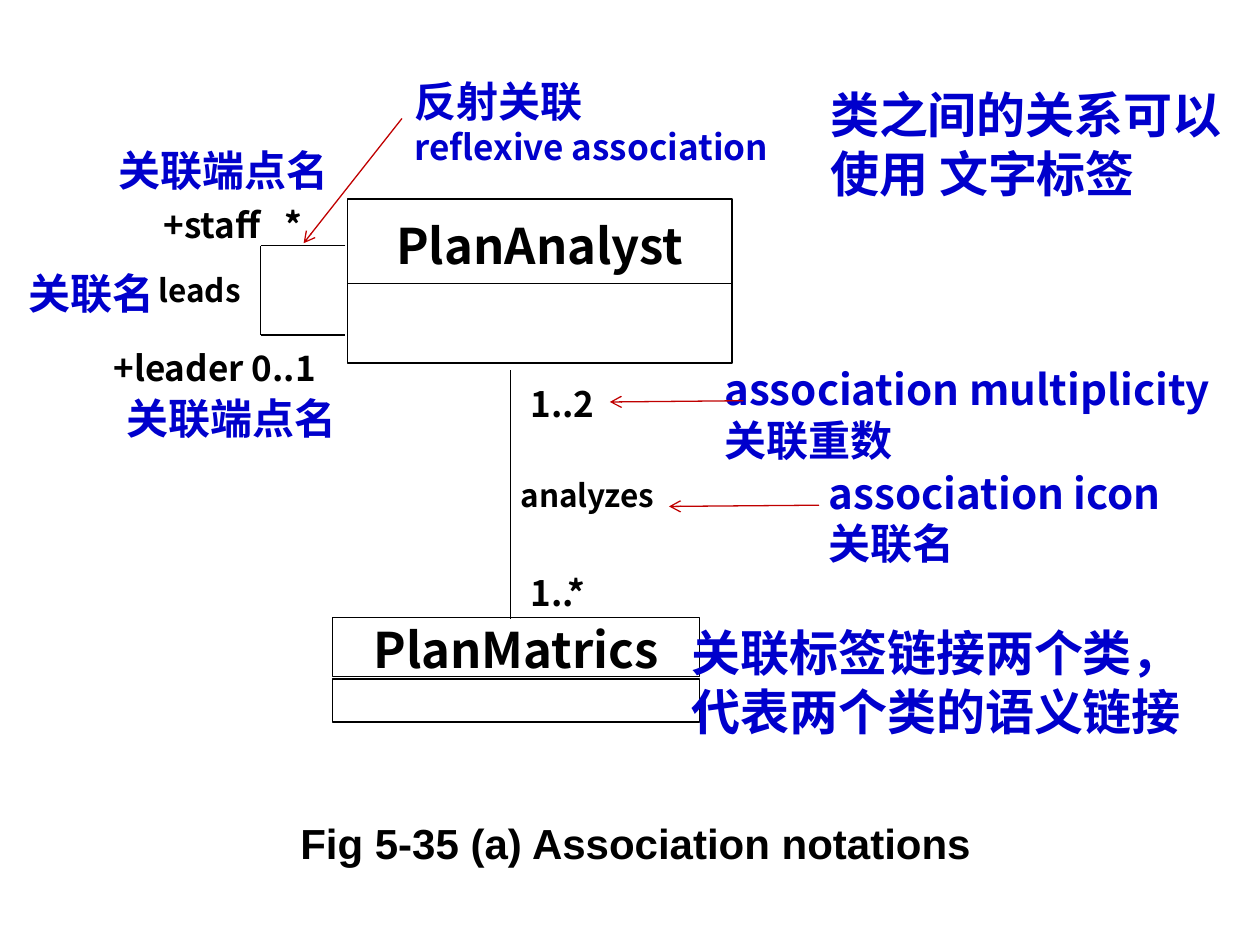
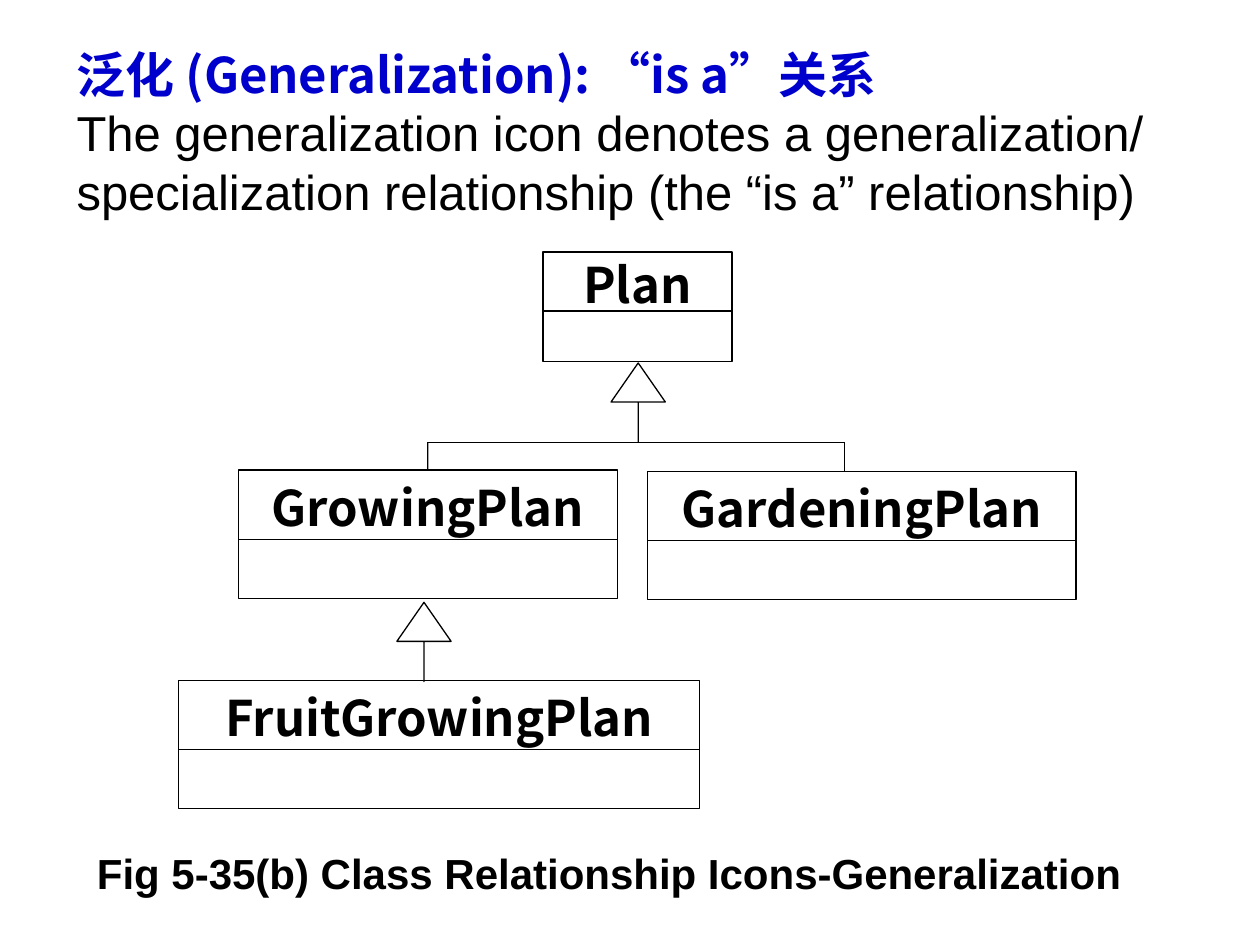
from lxml.etree import SubElement
from pptx import Presentation
from pptx.dml.color import RGBColor
from pptx.enum.shapes import MSO_CONNECTOR, MSO_SHAPE
from pptx.enum.text import MSO_ANCHOR, MSO_AUTO_SIZE, PP_ALIGN
from pptx.oxml.ns import qn
from pptx.util import Pt

BLACK, WHITE, BLUE, RED = "000000", "FFFFFF", "0000CC", "C00000"
CJK_FONT, LATIN_FONT = "Noto Sans CJK SC", "Arial"
LINE_HEIGHT = 1.2   # line pitch as a share of the text size
TEXT_DROP = 0.08    # lowers the CJK font's baseline, as a share of the text size
TITLE_ONLY = 5


def color(value):
    return RGBColor.from_string(value)


class Diagram:
    """Holds the drawing style and the current slide."""

    def __init__(self):
        self.presentation = Presentation()
        self.presentation.slide_width = Pt(720)
        self.presentation.slide_height = Pt(540)
        self.slide = None

    def new_slide(self):
        layout = self.presentation.slide_layouts[TITLE_ONLY]
        self.slide = self.presentation.slides.add_slide(layout)

    def frame(self, shape, inset_x=0, inset_y=0, drop=0, wrap=True, anchor=MSO_ANCHOR.TOP):
        text_frame = shape.text_frame
        text_frame.auto_size = MSO_AUTO_SIZE.NONE
        text_frame.word_wrap = wrap
        text_frame.vertical_anchor = anchor
        text_frame.margin_left = text_frame.margin_right = Pt(inset_x)
        text_frame.margin_top = Pt(inset_y + drop)
        text_frame.margin_bottom = Pt(inset_y)
        return text_frame

    def format(self, paragraph, size, ink=BLACK, font=CJK_FONT, bold=True,
               align=PP_ALIGN.LEFT, spacing=LINE_HEIGHT):
        paragraph.alignment = align
        paragraph.line_spacing = Pt(round(size * spacing, 2))
        for run in paragraph.runs:
            run.font.size = Pt(size)
            run.font.bold = bold
            run.font.name = font
            run.font.color.rgb = color(ink)
            SubElement(run.font._element, qn("a:ea"), typeface=font)

    def caption(self, text, left, top, width, height, spacing=LINE_HEIGHT):
        title = self.slide.shapes.title
        title.left, title.top, title.width, title.height = map(Pt, (left, top, width, height))
        text_frame = self.frame(title)
        text_frame.text = text
        self.format(text_frame.paragraphs[0], 24, font=LATIN_FONT,
                    align=PP_ALIGN.CENTER, spacing=spacing)

    def text(self, lines, left, top, width, height, size, ink=BLACK,
             inset_x=0, inset_y=0, wrap=True):
        box = self.slide.shapes.add_textbox(*map(Pt, (left, top, width, height)))
        text_frame = self.frame(box, inset_x, inset_y, TEXT_DROP * size, wrap)
        text_frame.text = "\n".join(lines)
        for paragraph in text_frame.paragraphs:
            self.format(paragraph, size, ink)
        return text_frame.paragraphs

    def label(self, lines, left, top, width, height, size=24, ink=BLUE):
        return self.text(lines, left, top, width, height, size, ink, 7.2, 3.6, wrap=False)

    def shape(self, kind, left, top, width, height):
        shape = self.slide.shapes.add_shape(kind, *map(Pt, (left, top, width, height)))
        shape.shadow.inherit = False
        shape.fill.solid()
        shape.fill.fore_color.rgb = color(WHITE)
        shape.line.color.rgb = color(BLACK)
        shape.line.width = Pt(0.75)
        return shape

    def class_box(self, name, left, top, width, name_height, body_height, gap=0):
        head = self.shape(MSO_SHAPE.RECTANGLE, left, top, width, name_height)
        text_frame = self.frame(head, drop=TEXT_DROP * 28, anchor=MSO_ANCHOR.MIDDLE)
        text_frame.text = name
        self.format(text_frame.paragraphs[0], 28, align=PP_ALIGN.CENTER)
        self.shape(MSO_SHAPE.RECTANGLE, left, top + name_height + gap, width, body_height)
        return head

    def generalization(self, left, top):
        arrow = self.shape(MSO_SHAPE.UP_ARROW, left, top, 31, 45.3)
        arrow.adjustments[0] = 0
        arrow.adjustments[1] = 0.72

    def line(self, start, end, ink=BLACK, arrow=False):
        connector = self.slide.shapes.add_connector(
            MSO_CONNECTOR.STRAIGHT, *map(Pt, (*start, *end)))
        connector.line.color.rgb = color(ink)
        connector.line.width = Pt(0.75)
        if arrow:
            SubElement(connector.line._get_or_add_ln(), qn("a:tailEnd"), type="arrow")
        SubElement(connector._element.spPr, qn("a:effectLst"))
        return connector

    def path_lines(self, points):
        for start, end in zip(points, points[1:]):
            self.line(start, end)


def association_slide(diagram):
    diagram.new_slide()

    # Classes and the association between them
    diagram.class_box("PlanAnalyst", 198.7, 113.8, 219.6, 50.4, 45.4, gap=-2.2)
    diagram.class_box("PlanMatrics", 190.1, 352.8, 209.5, 33.8, 24.5, gap=1.5)
    diagram.line((291.6, 211.7), (291.6, 353.5))

    # Reflexive association loop
    diagram.path_lines([(197.3, 140.4), (149, 140.4), (149, 191.5), (197.3, 191.5)])

    # Multiplicities, end names and association names
    for text, left, top, width, size in [
        ("1..2", 303.1, 216.7, 77, 20),
        ("1..*", 303.1, 324.7, 38.2, 20),
        ("+staff   *", 93.6, 114.5, 91.4, 20),
        ("+leader 0..1", 64.8, 196.6, 120.2, 20),
        ("analyzes", 297.4, 270.7, 77, 18),
    ]:
        diagram.text([text], left, top, width, 24, size)
    diagram.label(["leads"], 83.5, 149.8, 61.9, 28.8, 18, BLACK)

    # Blue explanations
    diagram.label(["关联端点名"], 60.5, 77, 133.9, 36)
    diagram.label(["关联端点名"], 65.5, 218.9, 133.9, 36)
    diagram.label(["关联名"], 9.4, 147.6, 86.4, 36)
    diagram.label(["association icon", "关联名"], 466.6, 261.4, 206.6, 64.8)
    diagram.label(["association multiplicity", "关联重数"], 406.8, 202.3, 294.5, 64.8)
    reflexive = diagram.label(["反射关联", "reflexive association"], 229.7, 37.4, 217, 60.5)
    diagram.format(reflexive[1], 20, BLUE)
    diagram.label(["类之间的关系可以", "使用 文字标签"], 467.3, 42.5, 237.6, 74.9, 28)
    diagram.label(["关联标签链接两个类，", "代表两个类的语义链接"], 388.1, 349.9, 295, 74.9, 28)

    # Red pointers
    for start, end in [
        ((468, 288.7), (382.3, 289.4)),
        ((229.7, 67.7), (173.5, 139)),
        ((424.8, 229), (348.5, 229.7)),
    ]:
        diagram.line(start, end, RED, arrow=True)

    diagram.caption("Fig 5-35 (a) Association notations", 105.1, 467.3, 516.2, 28.8)


def generalization_slide(diagram):
    diagram.new_slide()

    # Class hierarchy
    diagram.class_box("Plan", 310.3, 144, 108, 33.8, 28.8)
    growing = diagram.class_box("GrowingPlan", 136.1, 268.6, 216.7, 39.6, 33.8)
    diagram.class_box("GardeningPlan", 370.1, 269.3, 244.8, 39.6, 33.8)
    diagram.class_box("FruitGrowingPlan", 102.2, 388.8, 297.4, 39.6, 33.8)

    # Generalization arrows and branches
    branch_y, growing_x, gardening_x = 252.7, 244.4, 482.4
    diagram.generalization(349.2, 207.4)
    diagram.generalization(226.8, 344.2)
    diagram.line((growing_x, branch_y), (gardening_x, branch_y))
    diagram.line((growing_x, branch_y), (growing_x, 268.6)).end_connect(growing, 0)
    diagram.line((gardening_x, branch_y), (gardening_x, 269.3))

    # Definition
    definition = diagram.text(
        ["泛化 (Generalization): “is a”关系",
         "The generalization icon denotes a generalization/ "
         "specialization relationship (the “is a” relationship)"],
        36.7, 19.4, 629.3, 108, 28, BLUE, 7.2, 3.6)
    diagram.format(definition[1], 28, font=LATIN_FONT, bold=False)

    diagram.caption("Fig 5-35(b) Class Relationship Icons-Generalization",
                    54, 490.3, 588.2, 23, spacing=0.96)


def main():
    diagram = Diagram()
    association_slide(diagram)
    generalization_slide(diagram)
    diagram.presentation.save("out.pptx")


if __name__ == "__main__":
    main()
